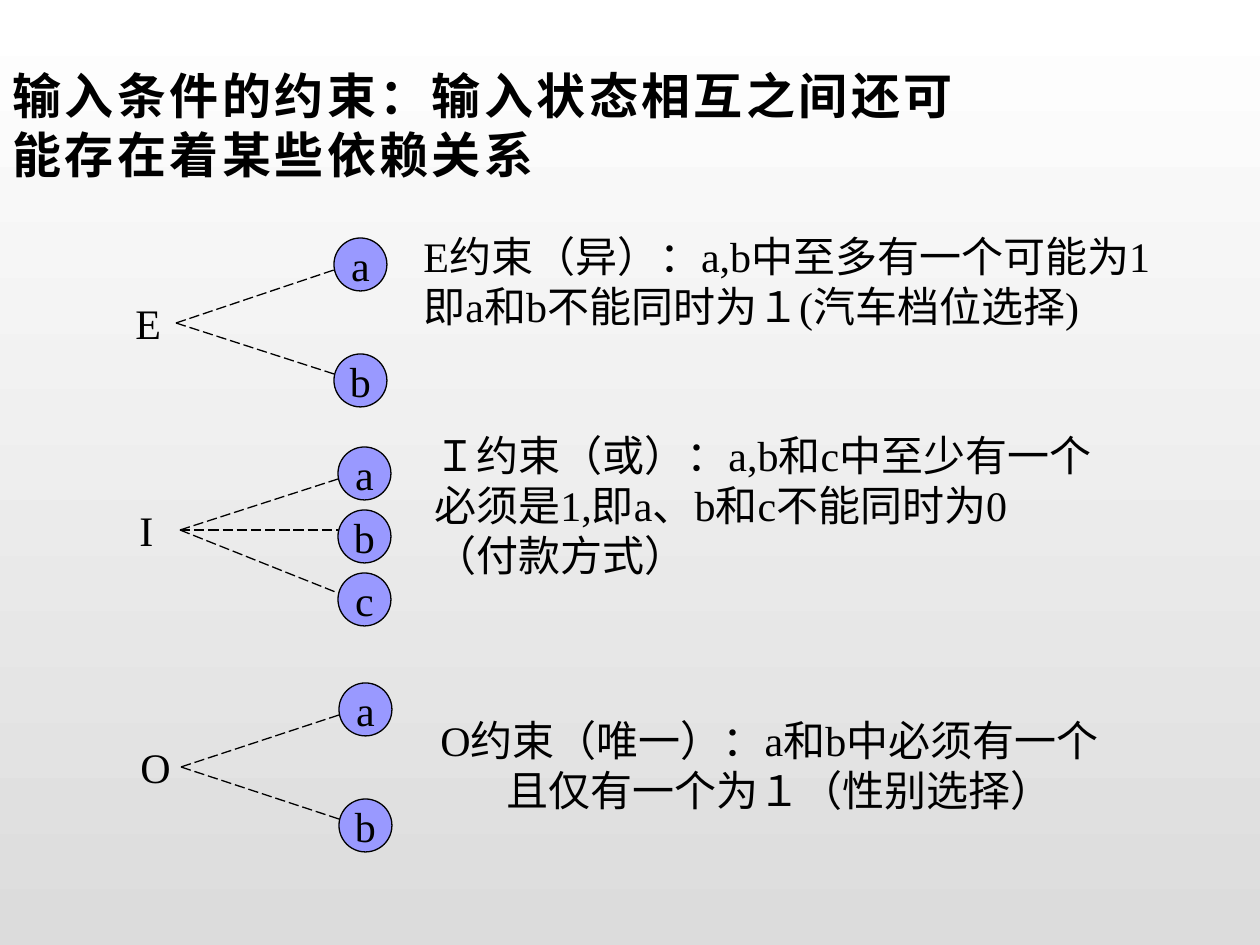
from lxml.etree import SubElement
from pptx import Presentation
from pptx.dml.color import RGBColor
from pptx.enum.dml import MSO_LINE
from pptx.enum.shapes import MSO_CONNECTOR, MSO_SHAPE
from pptx.enum.text import MSO_ANCHOR, MSO_AUTO_SIZE, PP_ALIGN
from pptx.oxml.ns import qn
from pptx.util import Pt

COLORS = {"ink": "000000", "node": "9999FF", "top": "FFFFFF", "bottom": "DCDCDC"}
NODE_SIZE = 53


def px(length):
    return round(length * 914400 / 126)


def rgb(name):
    return RGBColor.from_string(COLORS[name])


class ConstraintSlide:
    def __init__(self, slide):
        self.slide = slide
        self.font = "Times New Roman"
        self.size = 24

    def background(self):
        fill = self.slide.background.fill
        fill.gradient()
        fill.gradient_angle = 270
        for stop, name in zip(fill.gradient_stops, ("top", "bottom")):
            stop.color.rgb = rgb(name)

    def style(self, frame, font=None, size=None, bold=False):
        for paragraph in frame.paragraphs:
            for run in paragraph.runs:
                run.font.name = font or self.font
                run.font.size = Pt(size or self.size)
                run.font.bold = bold
                run.font.color.rgb = rgb("ink")

    def title(self, text, left, top, width, height):
        heading = self.slide.shapes.title
        heading.left, heading.top = px(left), px(top)
        heading.width, heading.height = px(width), px(height)
        frame = heading.text_frame
        frame.text = text
        frame.auto_size = MSO_AUTO_SIZE.NONE
        frame.vertical_anchor = MSO_ANCHOR.MIDDLE
        frame.paragraphs[0].alignment = PP_ALIGN.LEFT
        self.style(frame, "Arial", 28, True)
        frame.paragraphs[0].runs[0].font._element.set("spc", "200")

    def text(self, text, left, top, width, height, last_indent=0):
        box = self.slide.shapes.add_textbox(px(left), px(top), px(width), px(height))
        frame = box.text_frame
        frame.text = text
        frame.word_wrap = True
        frame.auto_size = MSO_AUTO_SIZE.SHAPE_TO_FIT_TEXT
        if last_indent:
            frame.paragraphs[-1]._p.get_or_add_pPr().set("marL", str(px(last_indent)))
        self.style(frame)

    def node(self, name, left, top):
        circle = self.slide.shapes.add_shape(
            MSO_SHAPE.OVAL, px(left), px(top), px(NODE_SIZE), px(NODE_SIZE))
        circle.shadow.inherit = False
        circle.fill.solid()
        circle.fill.fore_color.rgb = rgb("node")
        circle.line.color.rgb = rgb("ink")
        circle.line.width = Pt(0.75)
        frame = circle.text_frame
        frame.text = name
        frame.word_wrap = False
        frame.vertical_anchor = MSO_ANCHOR.MIDDLE
        frame.paragraphs[0].alignment = PP_ALIGN.CENTER
        self.style(frame)

    def edge(self, x1, y1, x2, y2):
        line = self.slide.shapes.add_connector(
            MSO_CONNECTOR.STRAIGHT, px(x1), px(y1), px(x2), px(y2))
        line.line.color.rgb = rgb("ink")
        line.line.width = Pt(0.75)
        line.line.dash_style = MSO_LINE.LONG_DASH
        SubElement(line._element.spPr, qn("a:effectLst"))

    def constraint(self, label, inputs, left, top, pitch, apex_y):
        apex_x = left - 158
        self.text(label, left - 211, apex_y - 32, 57, 63)
        for index, name in enumerate(inputs):
            node_top = top + index * pitch
            self.edge(apex_x, apex_y, left, node_top + (20 if index else 32))
            self.node(name, left, node_top)


def main():
    presentation = Presentation()
    presentation.slide_width, presentation.slide_height = px(1260), px(945)
    page = ConstraintSlide(presentation.slides.add_slide(presentation.slide_layouts[5]))
    page.background()
    page.title("输入条件的约束：输入状态相互之间还可能存在着某些依赖关系", 0, 86, 1012, 76)

    page.constraint("E", "ab", 334, 238, 116, 323)
    page.constraint("I", "abc", 338, 447, 63, 530)
    page.constraint("O", "ab", 339, 683, 116, 767)

    page.text("E约束（异）：a,b中至多有一个可能为1即a和b不能同时为１(汽车档位选择)",
              411, 224, 774, 115)
    page.text("Ｉ约束（或）：a,b和c中至少有一个\n必须是1,即a、b和c不能同时为0\n（付款方式）",
              422, 423, 689, 165)
    page.text("O约束（唯一）：a和b中必须有一个\n且仅有一个为１（性别选择）",
              428, 708, 690, 115, last_indent=66)
    presentation.save("out.pptx")


if __name__ == "__main__":
    main()
